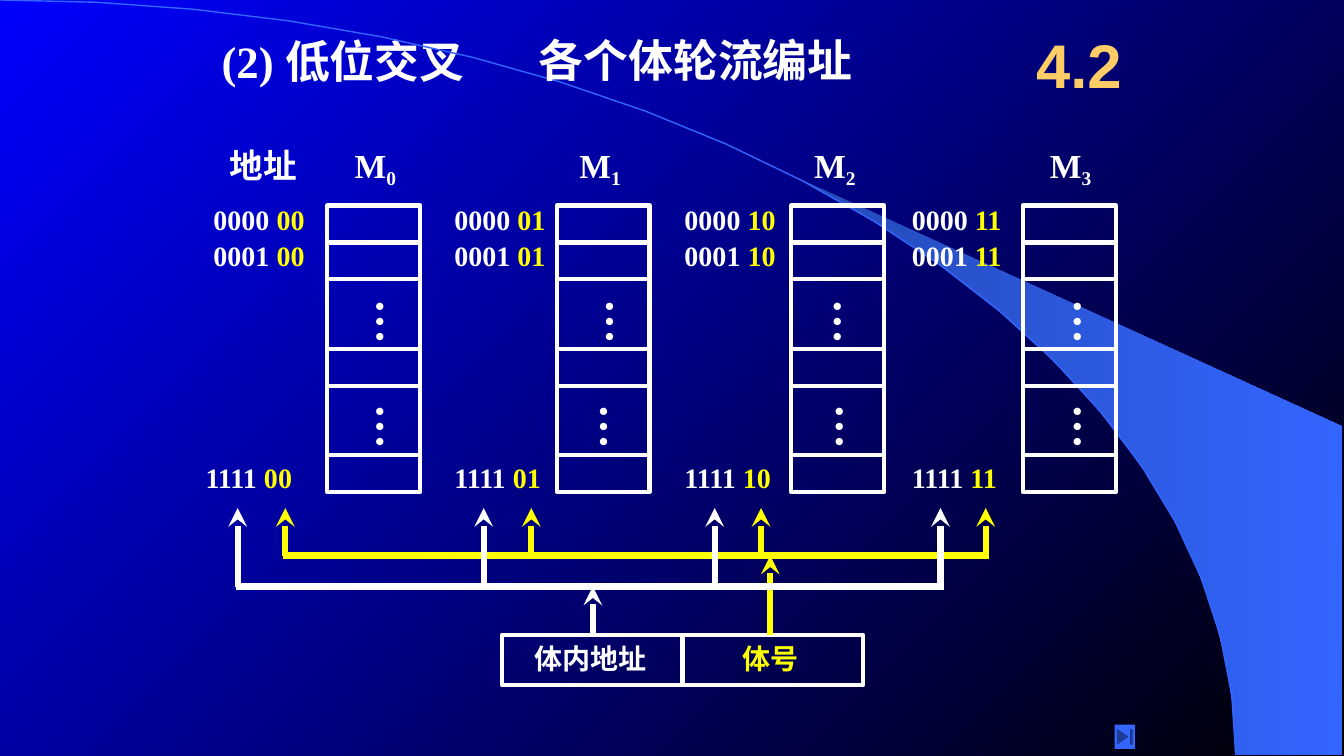
import math
from dataclasses import dataclass

from lxml import etree
from pptx import Presentation
from pptx.dml.color import RGBColor
from pptx.enum import shapes, text
from pptx.oxml import ns
from pptx.util import Cm, Pt

HEADING = "(2) 低位交叉"
SUBHEADING = "各个体轮流编址"
SECTION = "4.2"
ADDRESS_HEADING = "地址"
DOTS = "…"
BANKS = [
    {"number": "0", "bits": "00", "left": 8.25, "label": 8.69, "dots": (8.87, 8.87),
     "address": (5.13, 5.13, 4.93), "inner": 5.99, "select": 7.19},
    {"number": "1", "bits": "01", "left": 14.03, "label": 14.35, "dots": (14.66, 14.51),
     "address": (11.2, 11.2, 11.2), "inner": 12.19, "select": 13.39},
    {"number": "2", "bits": "10", "left": 19.94, "label": 20.27, "dots": (20.4, 20.45),
     "address": (17, 17, 17), "inner": 18.01, "select": 19.18},
    {"number": "3", "bits": "11", "left": 25.78, "label": 26.21, "dots": (26.45, 26.45),
     "address": (22.73, 22.73, 22.73), "inner": 23.7, "select": 24.84},
]
ADDRESS_ROWS = [("0000 ", 4.98), ("0001 ", 5.89), ("1111 ", 11.48)]
CELL_HEIGHTS = [0.93, 0.93, 1.75, 0.93, 1.75, 0.93]
DOT_TOPS = (7.3, 9.95)
BANK_TOP, BANK_WIDTH = 5.18, 2.34
ARROW_TOP, REGISTER_TOP = 12.8, 16.0
REGISTER_LEFT, FIELD_WIDTH, FIELD_HEIGHT = 12.65, 4.55, 1.27
ARC_WIDTH, ARC_HEIGHT = 31.14, 19.02


@dataclass(frozen=True)
class Theme:
    white: str = "FFFFFF"
    yellow: str = "FFFF00"
    gold: str = "FFCC66"
    sky: str = "3366FF"
    shade: str = "2449B6"
    blue: str = "0000FF"
    black: str = "000000"
    serif: str = "Times New Roman"
    sans: str = "Arial"
    section: int = 44
    heading: int = 32
    label: int = 24
    body: int = 20
    cell_line: int = 3
    bus_line: float = 4.5


theme = Theme()
FIELDS = [
    {"name": "体内地址", "color": theme.white, "target": "inner", "bus": 14.78,
     "stem": 14.94, "width": 3.38, "indent": 0.25},
    {"name": "体号", "color": theme.yellow, "target": "select", "bus": 14.0,
     "stem": 19.41, "width": 2.67, "indent": 0.96},
]


def rgb(value):
    return RGBColor.from_string(value)


def style(run, size, color=theme.white, font=theme.serif):
    run.font.size, run.font.bold, run.font.name = Pt(size), True, font
    run.font.color.rgb = rgb(color)


def add_label(slide, left, top, width, height, parts, size, wrap=True, font=theme.serif):
    label = slide.shapes.add_textbox(Cm(left), Cm(top), Cm(width), Cm(height))
    label.text_frame.word_wrap = wrap
    for words, color in parts:
        run = label.text_frame.paragraphs[0].add_run()
        run.text = words
        style(run, size, color, font)
    return label.text_frame


def add_cell(slide, left, top, width, height):
    cell = slide.shapes.add_shape(shapes.MSO_SHAPE.RECTANGLE, Cm(left), Cm(top), Cm(width), Cm(height))
    cell.shadow.inherit = False
    cell.fill.background()
    cell.line.color.rgb = rgb(theme.white)
    cell.line.width = Pt(theme.cell_line)


def add_wire(slide, x1, y1, x2, y2, color, weight=theme.bus_line, arrow=False):
    wire = slide.shapes.add_connector(shapes.MSO_CONNECTOR.STRAIGHT, Cm(x1), Cm(y1), Cm(x2), Cm(y2))
    wire.line.color.rgb = rgb(color)
    wire.line.width = Pt(weight)
    if arrow:
        etree.SubElement(wire.line._ln, ns.qn("a:headEnd"), type="stealth")
    etree.SubElement(wire._element.spPr, ns.qn("a:effectLst"))


def set_gradient(fill, colors, angle):
    fill.gradient()
    fill.gradient_angle = angle
    for stop, color in zip(fill.gradient_stops, colors):
        stop.color.rgb = rgb(color)


def arc_points(start, steps):
    angles = [start + (math.pi / 2 - start) * i / steps for i in range(steps + 1)]
    return [(Cm(ARC_WIDTH * math.sin(a)), Cm(ARC_HEIGHT * (1 - math.cos(a)))) for a in angles]


def add_outline(slide, points, close):
    builder = slide.shapes.build_freeform(*points[0])
    builder.add_line_segments(points[1:], close=close)
    outline = builder.convert_to_shape()
    outline.shadow.inherit = False
    return outline


def add_backdrop(slide):
    set_gradient(slide.background.fill, (theme.blue, theme.black), 315)
    corner = [(Cm(33.81), Cm(ARC_HEIGHT)), (Cm(33.81), Cm(10.74))]
    beam = add_outline(slide, arc_points(math.asin(19.96 / ARC_WIDTH), 14) + corner, True)
    set_gradient(beam.fill, (theme.shade, theme.sky), 0)
    beam.line.fill.background()
    arc = add_outline(slide, arc_points(0, 20), False)
    arc.fill.background()
    arc.line.color.rgb = rgb(theme.sky)
    arc.line.width = Pt(1)


def add_headings(slide):
    heading = slide.shapes.title
    heading.left, heading.top, heading.width, heading.height = Cm(5.33), Cm(0.71), Cm(7.9), Cm(1.6)
    frame = heading.text_frame
    frame.text = HEADING
    frame.auto_size = text.MSO_AUTO_SIZE.NONE
    frame.vertical_anchor = text.MSO_ANCHOR.TOP
    frame.paragraphs[0].alignment = text.PP_ALIGN.LEFT
    style(frame.paragraphs[0].runs[0], theme.heading)
    add_label(slide, 13.33, 0.71, 16.41, 1.6, [(SUBHEADING, theme.white)], theme.heading)
    section = add_label(slide, 25.6, 0.43, 3.18, 2.34, [(SECTION, theme.gold)], theme.section, font=theme.sans)
    section.vertical_anchor = text.MSO_ANCHOR.MIDDLE
    section.paragraphs[0].alignment = text.PP_ALIGN.CENTER
    add_label(slide, 5.54, 3.53, 2.24, 1.3, [(ADDRESS_HEADING, theme.white)], theme.label, False)


def add_grid(slide, left):
    right = left + BANK_WIDTH
    edges = [BANK_TOP + sum(CELL_HEIGHTS[:row]) for row in range(len(CELL_HEIGHTS) + 1)]
    for top, height in zip(edges, CELL_HEIGHTS):
        add_cell(slide, left, top, BANK_WIDTH, height)
    for edge in edges:
        add_wire(slide, left, edge, right, edge, theme.white, theme.cell_line)
    for side in (left, right):
        add_wire(slide, side, edges[0], side, edges[-1], theme.white, theme.cell_line)


def add_bank(slide, bank):
    label = add_label(slide, bank["label"], 3.53, 1.6, 1.27,
                      [("M", theme.white), (bank["number"], theme.white)], theme.label, False)
    label.paragraphs[0].runs[1]._r.get_or_add_rPr().set("baseline", "-20000")
    add_grid(slide, bank["left"])
    for left, top in zip(bank["dots"], DOT_TOPS):
        dots = add_label(slide, left, top, 1.88, 1.4, [(DOTS, theme.white)], theme.heading, False)
        dots._txBody.bodyPr.set("vert", "eaVert")
    for left, (inner, top) in zip(bank["address"], ADDRESS_ROWS):
        add_label(slide, left, top, 2.92, 1.09,
                  [(inner, theme.white), (bank["bits"], theme.yellow)], theme.body)


def add_field(slide, index, field):
    left = REGISTER_LEFT + index * FIELD_WIDTH
    color, bus, stem = field["color"], field["bus"], field["stem"]
    add_cell(slide, left, REGISTER_TOP, FIELD_WIDTH, FIELD_HEIGHT)
    name = add_label(slide, left + 0.56, REGISTER_TOP + 0.05, field["width"], 1.12,
                     [(field["name"], color)], theme.body, False)
    name.margin_left = Cm(field["indent"])
    stops = [bank[field["target"]] for bank in BANKS]
    add_wire(slide, stops[0] - 0.05, bus, stops[-1] + 0.08, bus, color)
    for stop in stops:
        add_wire(slide, stop, ARROW_TOP, stop, bus, color, arrow=True)
    add_wire(slide, stem, bus, stem, REGISTER_TOP, color, arrow=True)


def add_end_button(slide):
    button = slide.shapes.add_shape(shapes.MSO_SHAPE.ACTION_BUTTON_END, Cm(28.09), Cm(18.26), Cm(0.51), Cm(0.61))
    button.shadow.inherit = False
    button.fill.solid()
    button.fill.fore_color.rgb = rgb(theme.sky)
    button.line.fill.background()


def main():
    deck = Presentation()
    deck.slide_width, deck.slide_height = Cm(33.87), Cm(19.05)
    slide = deck.slides.add_slide(deck.slide_layouts[5])
    add_backdrop(slide)
    add_headings(slide)
    for bank in BANKS:
        add_bank(slide, bank)
    for index, field in reversed(list(enumerate(FIELDS))):
        add_field(slide, index, field)
    add_end_button(slide)
    deck.save("out.pptx")


if __name__ == "__main__":
    main()
